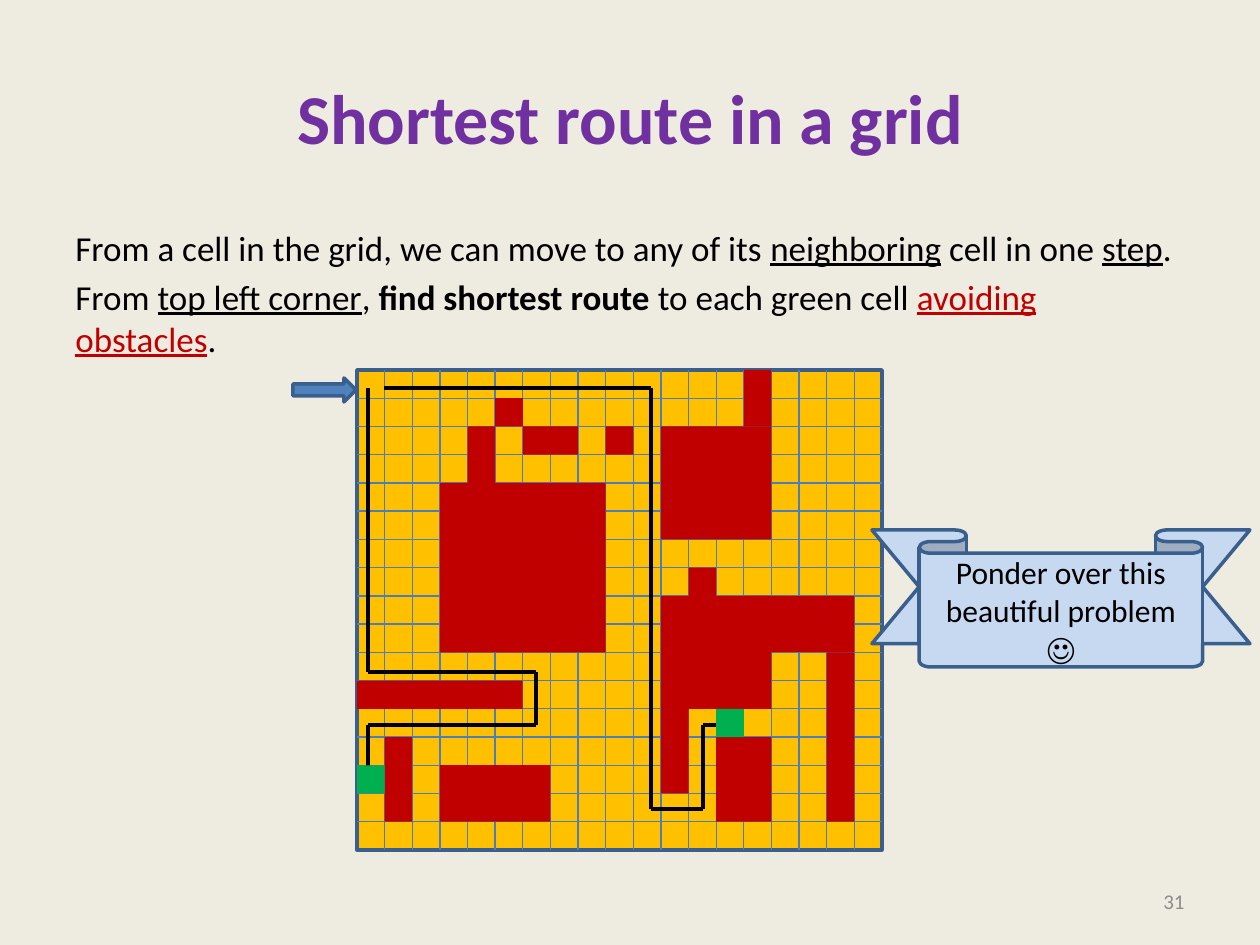
from lxml import etree
from pptx import Presentation
from pptx.dml.color import RGBColor
from pptx.enum.shapes import MSO_CONNECTOR, MSO_SHAPE
from pptx.enum.text import MSO_ANCHOR, PP_ALIGN
from pptx.oxml.ns import qn
from pptx.util import Pt

RECTANGLE, ARROW, RIBBON = MSO_SHAPE.RECTANGLE, MSO_SHAPE.RIGHT_ARROW, MSO_SHAPE.DOWN_RIBBON
STRAIGHT = MSO_CONNECTOR.STRAIGHT
LEFT, CENTER, RIGHT = PP_ALIGN.LEFT, PP_ALIGN.CENTER, PP_ALIGN.RIGHT
TOP, MIDDLE = MSO_ANCHOR.TOP, MSO_ANCHOR.MIDDLE

BACKGROUND = RGBColor(0xEE, 0xEC, 0xE1)
PURPLE = RGBColor(0x70, 0x30, 0xA0)
BLACK = RGBColor(0x00, 0x00, 0x00)
GRAY = RGBColor(0x8C, 0x8C, 0x8C)
RED = RGBColor(0xC0, 0x00, 0x00)
GREEN = RGBColor(0x00, 0xB0, 0x50)
GOLD = RGBColor(0xFF, 0xC0, 0x00)
BLUE = RGBColor(0x4F, 0x81, 0xBD)
GRID_BLUE = RGBColor(0x4B, 0x7E, 0xBC)
DARK_BLUE = RGBColor(0x3A, 0x5F, 0x8C)
PALE_BLUE = RGBColor(0xC6, 0xD9, 0xF1)

PX = 914400 / 126  # EMU in one px

GRID_LEFT, GRID_TOP, GRID_WIDTH, GRID_HEIGHT = 357, 370, 525, 480
COLUMNS, ROWS = 19, 17
CELL_WIDTH, CELL_HEIGHT = GRID_WIDTH / COLUMNS, GRID_HEIGHT / ROWS


def add_block(shapes, kind, box, fill, outline=None):
    shape = shapes.add_shape(kind, *[round(value * PX) for value in box])
    shape.shadow.inherit = False
    shape.fill.solid()
    shape.fill.fore_color.rgb = fill
    if outline is None:
        shape.line.fill.background()
    else:
        shape.line.color.rgb = outline
        shape.line.width = Pt(2)
    return shape


def add_line(shapes, start, end, color, width):
    ends = [round(value * PX) for value in (*start, *end)]
    connector = shapes.add_connector(STRAIGHT, *ends)
    connector.line.color.rgb = color
    connector.line.width = Pt(width)
    etree.SubElement(connector._element.spPr, qn("a:effectLst"))


presentation = Presentation()
presentation.slide_width = round(1260 * PX)
presentation.slide_height = round(945 * PX)
slide = presentation.slides.add_slide(presentation.slide_layouts[6])
slide.background.fill.solid()
slide.background.fill.fore_color.rgb = BACKGROUND

# Grid
grid = slide.shapes.add_group_shape().shapes
add_block(grid, RECTANGLE, (GRID_LEFT, GRID_TOP, GRID_WIDTH, GRID_HEIGHT), GOLD, DARK_BLUE)
for column in range(1, COLUMNS):
    x = GRID_LEFT + column * CELL_WIDTH
    add_line(grid, (x, GRID_TOP), (x, GRID_TOP + GRID_HEIGHT), GRID_BLUE, 0.75)
for row in range(1, ROWS):
    y = GRID_TOP + row * CELL_HEIGHT
    add_line(grid, (GRID_LEFT, y), (GRID_LEFT + GRID_WIDTH, y), GRID_BLUE, 0.75)

# Routes from the top left corner
routes = [
    [(368, 388), (368, 672), (536, 672), (536, 725), (368, 725), (368, 780)],
    [(384, 388), (651, 388), (651, 809), (703, 809), (703, 725), (725, 725)],
]
for route in routes:
    route_shapes = slide.shapes.add_group_shape().shapes
    for start, end in zip(route, route[1:]):
        add_line(route_shapes, start, end, BLACK, 2.25)

# Green cells and obstacles: column, row, columns wide, rows high
green_cells = [(0, 14, 1, 1), (13, 12, 1, 1)]
obstacles = [
    (11, 2, 4, 4), (11, 8, 4, 4), (3, 4, 6, 6), (3, 14, 4, 2),
    (13, 13, 2, 3), (6, 2, 2, 1), (0, 11, 6, 1), (1, 13, 1, 3),
    (11, 12, 1, 3), (4, 2, 1, 2), (5, 1, 1, 1), (9, 2, 1, 1),
    (14, 0, 1, 2), (14, 8, 4, 2), (17, 10, 1, 6), (12, 7, 1, 1),
]
obstacle_shapes = slide.shapes.add_group_shape().shapes
for shapes, cells, color in [(slide.shapes, green_cells, GREEN), (obstacle_shapes, obstacles, RED)]:
    for column, row, wide, high in cells:
        box = (GRID_LEFT + column * CELL_WIDTH, GRID_TOP + row * CELL_HEIGHT,
               wide * CELL_WIDTH, high * CELL_HEIGHT)
        add_block(shapes, RECTANGLE, box, color)

# Start arrow and ribbon
add_block(slide.shapes, ARROW, (293, 378, 63, 24), BLUE, DARK_BLUE)
ribbon = add_block(slide.shapes, RIBBON, (872, 530, 378, 137), PALE_BLUE, DARK_BLUE)
ribbon.adjustments[0] = 0.17
ribbon.adjustments[1] = 0.75

# Text: shape, anchor, alignment, base format, paragraphs of (text, changes) runs
title, body, number = [
    slide.shapes.add_textbox(*[round(value * PX) for value in box])
    for box in [(63, 38, 1134, 157), (63, 220, 1134, 624), (903, 876, 294, 50)]
]
underlined = {"underline": True}
texts = [
    (title, MIDDLE, CENTER, {"size": Pt(40), "bold": True}, PURPLE,
     [[("Shortest route in a grid", {})]]),
    (body, TOP, LEFT, {"size": Pt(20)}, BLACK, [
        [("From a cell in the grid, we can move to any of its ", {}),
         ("neighboring", underlined), (" cell in one ", {}),
         ("step", underlined), (".", {})],
        [("From ", {}), ("top left corner", underlined), (", ", {}),
         ("find shortest route ", {"bold": True}), ("to each green cell ", {}),
         ("avoiding obstacles", {"underline": True, "color": RED}), (".", {})],
    ]),
    (number, MIDDLE, RIGHT, {"size": Pt(12)}, GRAY, [[("31", {})]]),
    (ribbon, MIDDLE, CENTER, {"size": Pt(18)}, BLACK,
     [[("Ponder over this beautiful problem ☺", {})]]),
]
for shape, anchor, alignment, base, color, paragraphs in texts:
    frame = shape.text_frame
    frame.word_wrap = True
    frame.vertical_anchor = anchor
    for index, runs in enumerate(paragraphs):
        paragraph = frame.add_paragraph() if index else frame.paragraphs[0]
        paragraph.alignment = alignment
        paragraph.space_before = Pt(4 if index else 0)
        for text, changes in runs:
            run = paragraph.add_run()
            run.text = text
            settings = {"name": "Calibri", "color": color, **base, **changes}
            run.font.color.rgb = settings.pop("color")
            for attribute, value in settings.items():
                setattr(run.font, attribute, value)

presentation.save("out.pptx")
